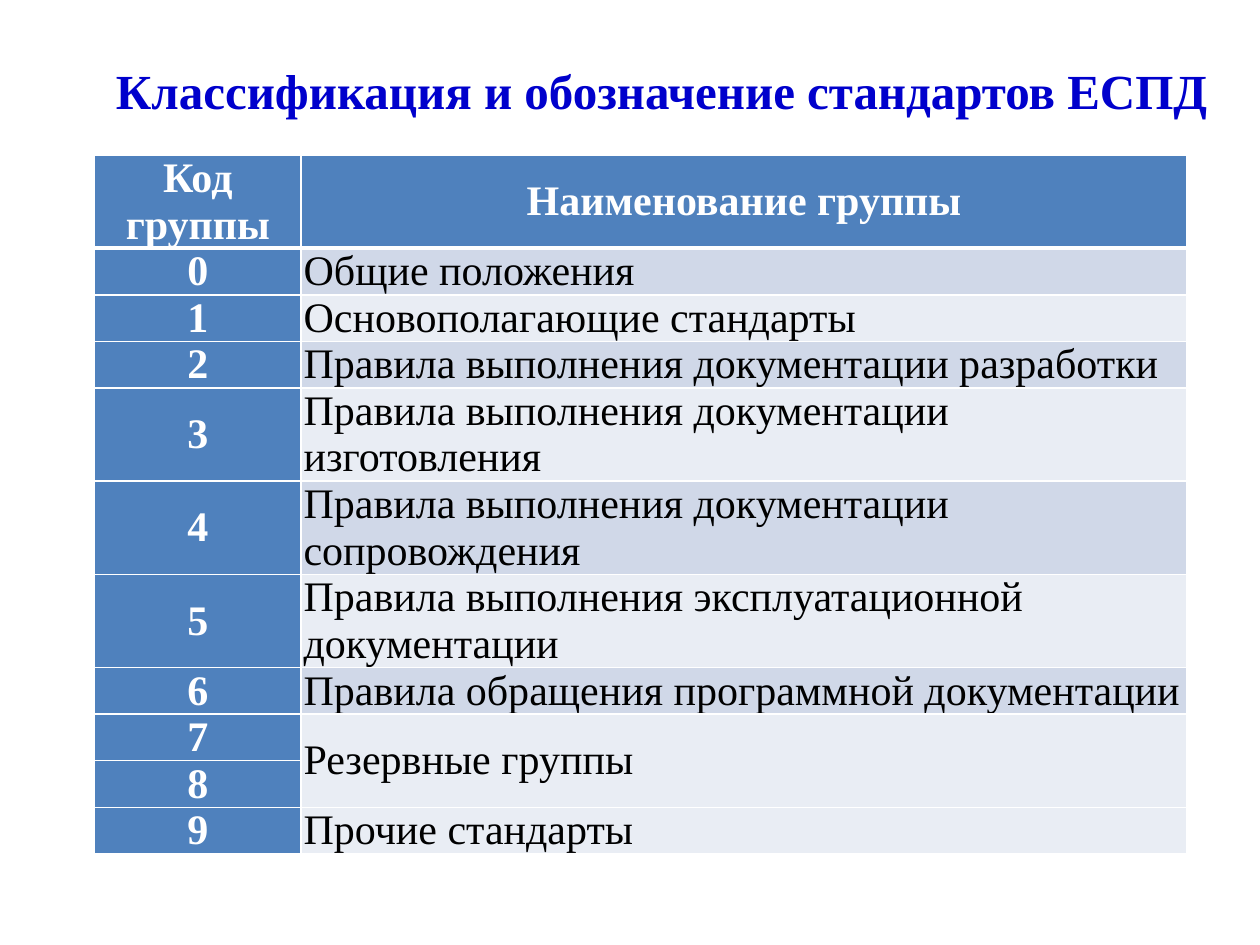
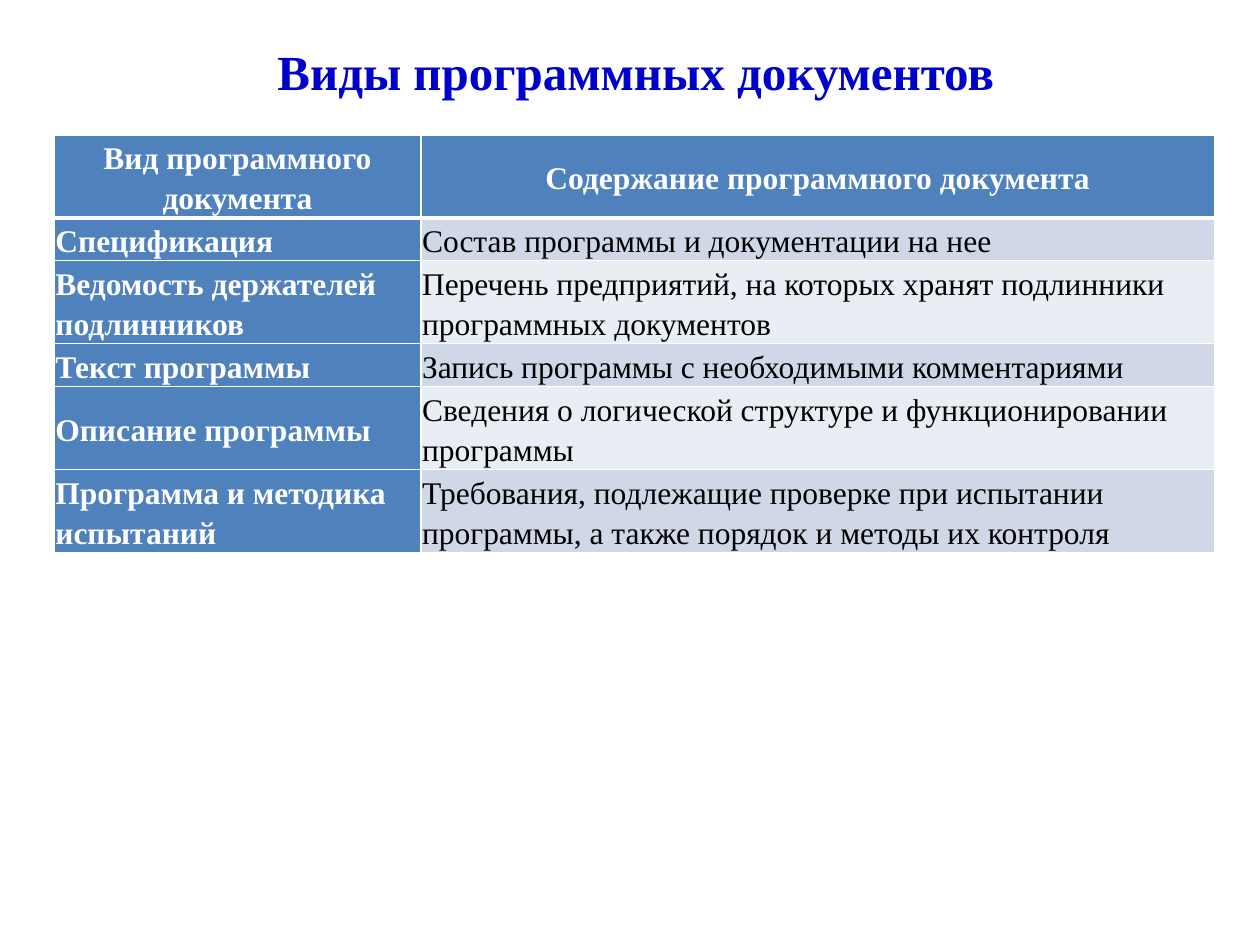
from lxml import etree
from pptx import Presentation
from pptx import util as u
from pptx.dml.color import RGBColor
from pptx.enum import text
from pptx.oxml.ns import qn

# Content: None continues the cell above; lines gives the text lines in each row
SLIDES = [
    dict(
        title="Классификация и обозначение стандартов ЕСПД",
        title_box=(0.28, 0.36, 9.45, 0.63), indent=0.49, after=0,
        table_at=(0.75, 1.23), cols=(1.64, 7.03), line=0.37,
        lines=(2, 1, 1, 1, 2, 2, 2, 1, 1, 1, 1),
        size=24, spacing=1.0, margins=(0.02, 0), center_codes=True,
        rows=[
            ("Код группы", "Наименование группы"),
            ("0", "Общие положения"),
            ("1", "Основополагающие стандарты"),
            ("2", "Правила выполнения документации разработки"),
            ("3", "Правила выполнения документации изготовления"),
            ("4", "Правила выполнения документации сопровождения"),
            ("5", "Правила выполнения эксплуатационной документации"),
            ("6", "Правила обращения программной документации"),
            ("7", "Резервные группы"),
            ("8", None),
            ("9", "Прочие стандарты"),
        ],
    ),
    dict(
        title="Виды программных документов",
        title_box=(0.91, 0.21, 8.27, 0.79), indent=0, after=10,
        table_at=(0.43, 1.07), cols=(2.91, 6.3), line=0.33,
        lines=(2, 1, 2, 1, 2, 2),
        size=18, spacing=1.15, margins=(0.01, 0.01), center_codes=False,
        rows=[
            ("Вид программного документа", "Содержание программного документа"),
            ("Спецификация", "Состав программы и документации на нее"),
            ("Ведомость держателей подлинников",
             "Перечень предприятий, на которых хранят подлинники программных документов"),
            ("Текст программы", "Запись программы с необходимыми комментариями"),
            ("Описание программы",
             "Сведения о логической структуре и функционировании программы"),
            ("Программа и методика испытаний",
             "Требования, подлежащие проверке при испытании программы, "
             "а также порядок и методы их контроля"),
        ],
    ),
]

# Shared style
FONT = "Times New Roman"
TITLE, HEAD, WHITE, BLACK = "0000CC", "4F81BD", "FFFFFF", "000000"
BANDS = ("E9EDF4", "D0D8E8")
CENTER, LEFT = text.PP_ALIGN.CENTER, text.PP_ALIGN.LEFT


def rgb(value):
    return RGBColor.from_string(value)


def set_all(obj, **values):
    for name, value in values.items():
        setattr(obj, name, value)


def write(p, words, size, color, bold, **paragraph):
    r = p.add_run()
    r.text = words
    set_all(r.font, name=FONT, size=u.Pt(size), bold=bold)
    r.font.color.rgb = rgb(color)
    set_all(p, **paragraph)


def add_borders(cell, row):
    widths = dict(L=1, R=1, T=3 if row == 1 else 1, B=3 if row == 0 else 1)
    for side, width in widths.items():
        ln = etree.SubElement(cell._tc.get_or_add_tcPr(), qn(f"a:ln{side}"),
                              w=str(u.Pt(width)))
        fill = etree.SubElement(ln, qn("a:solidFill"))
        etree.SubElement(fill, qn("a:srgbClr"), val=WHITE)


def add_title(s, d):
    sp = s.shapes.title
    left, top, width, height = map(u.Inches, d["title_box"])
    set_all(sp, left=left, top=top, width=width, height=height)
    tf = sp.text_frame
    set_all(tf, word_wrap=True, auto_size=text.MSO_AUTO_SIZE.NONE,
            vertical_anchor=text.MSO_ANCHOR.TOP)
    p = tf.paragraphs[0]
    write(p, d["title"], 28, TITLE, True, alignment=CENTER, line_spacing=1.15,
          space_before=u.Pt(5.6), space_after=u.Pt(d["after"]))
    p._p.get_or_add_pPr().set("indent", str(u.Inches(d["indent"])))


def fill_cell(cell, words, row, col, d):
    side, edge = map(u.Inches, d["margins"])
    set_all(cell, margin_left=side, margin_right=side, margin_top=edge,
            margin_bottom=edge, vertical_anchor=text.MSO_ANCHOR.MIDDLE)
    heading = row == 0 or col == 0
    add_borders(cell, row)
    cell.fill.solid()
    cell.fill.fore_color.rgb = rgb(HEAD if heading else BANDS[row % 2])
    if words:
        centered = row == 0 or (col == 0 and d["center_codes"])
        write(cell.text_frame.paragraphs[0], words, d["size"],
              WHITE if heading else BLACK, heading,
              alignment=CENTER if centered else LEFT, line_spacing=d["spacing"])


def add_grid(s, d):
    rows, cols = d["rows"], d["cols"]
    heights = [n * d["line"] for n in d["lines"]]
    box = map(u.Inches, (*d["table_at"], sum(cols), sum(heights)))
    table = s.shapes.add_table(len(rows), len(cols), *box).table
    table.first_col = True
    for column, width in zip(table.columns, cols):
        column.width = u.Inches(width)
    for i, (row, height) in enumerate(zip(rows, heights)):
        table.rows[i].height = u.Inches(height)
        for j, words in enumerate(row):
            fill_cell(table.cell(i, j), words, i, j, d)
            if words is None:
                table.cell(i - 1, j).merge(table.cell(i, j))


def main():
    prs = Presentation()
    set_all(prs, slide_width=u.Inches(10), slide_height=u.Inches(7.5))
    for d in SLIDES:
        s = prs.slides.add_slide(prs.slide_layouts[5])
        add_title(s, d)
        add_grid(s, d)
    prs.save("out.pptx")


if __name__ == "__main__":
    main()
